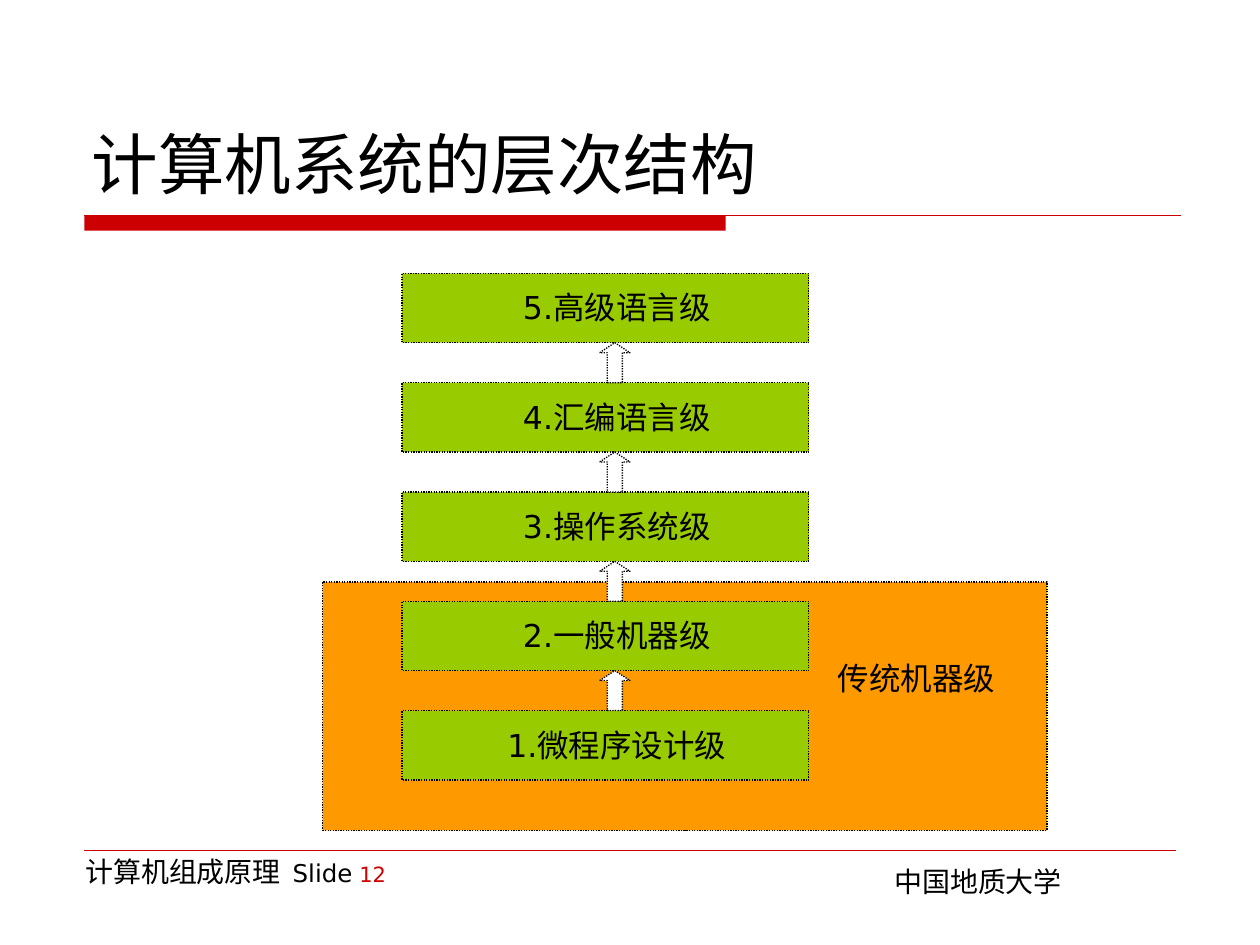
from pptx import Presentation
from pptx.dml.color import RGBColor
from pptx.enum.dml import MSO_LINE
from pptx.enum.shapes import MSO_CONNECTOR, MSO_SHAPE
from pptx.enum.text import MSO_ANCHOR, PP_ALIGN
from pptx.oxml.ns import qn
from pptx.util import Inches, Pt
from lxml import etree

RED = RGBColor(0xCC, 0x00, 0x00)
ORANGE = RGBColor(0xFF, 0x99, 0x00)
GREEN = RGBColor(0x99, 0xCC, 0x00)
WHITE = RGBColor(0xFF, 0xFF, 0xFF)
BLACK = RGBColor(0x00, 0x00, 0x00)

FONT = "DejaVu Sans"
RECT, UP_ARROW = MSO_SHAPE.RECTANGLE, MSO_SHAPE.UP_ARROW
STRAIGHT, DOTTED = MSO_CONNECTOR.STRAIGHT, MSO_LINE.ROUND_DOT
LEFT, CENTER = PP_ALIGN.LEFT, PP_ALIGN.CENTER
TOP, BOTTOM = MSO_ANCHOR.TOP, MSO_ANCHOR.BOTTOM

LEVELS = ["5.高级语言级", "4.汇编语言级", "3.操作系统级", "2.一般机器级", "1.微程序设计级"]
LEVEL_H = 0.55
LEVEL_PITCH = 0.8675


def add_box(shapes, kind, x, y, w, h, fill, outline=None):
    """Add a filled shape, with a dotted outline if a colour is given."""
    sp = shapes.add_shape(kind, Inches(x), Inches(y), Inches(w), Inches(h))
    sp.shadow.inherit = False
    sp.fill.solid()
    sp.fill.fore_color.rgb = fill
    if outline is None:
        sp.line.fill.background()
    else:
        sp.line.color.rgb = outline
        sp.line.width = Pt(0.75)
        sp.line.dash_style = DOTTED
    return sp


def add_rule(s, x1, x2, y, width):
    line = s.shapes.add_connector(STRAIGHT, Inches(x1), Inches(y), Inches(x2), Inches(y))
    line.line.color.rgb = RED
    line.line.width = Pt(width)
    etree.SubElement(line._element.spPr, qn("a:effectLst"))


def write(sp, runs, align=LEFT, anchor=TOP):
    """Fill a shape with one paragraph of (text, size, colour) runs."""
    tf = sp.text_frame
    tf.word_wrap = True
    tf.vertical_anchor = anchor
    p = tf.paragraphs[0]
    p.alignment = align
    for text, size, color in runs:
        r = p.add_run()
        r.text = text
        for name, value in {"name": FONT, "size": Pt(size)}.items():
            setattr(r.font, name, value)
        r.font.color.rgb = color


def add_text(s, x, y, w, h, runs, align=LEFT, anchor=TOP):
    sp = s.shapes.add_textbox(Inches(x), Inches(y), Inches(w), Inches(h))
    write(sp, runs, align, anchor)


def add_header(s, x, y, w, h):
    add_text(s, x, y, w, h, [("计算机系统的层次结构", 38, BLACK)], anchor=BOTTOM)
    rule_x, rule_y = x + 0.04, y + h + 0.05
    add_box(s.shapes, RECT, rule_x, rule_y, 5.09, 0.12, RED)
    add_rule(s, rule_x, rule_x + 8.7, rule_y, 0.75)


def add_footer(s, x, y, w):
    add_rule(s, x, x + w, y, 0.25)
    add_text(s, x - 0.09, y - 0.02, 3, 0.52, [
        ("计算机组成原理 ", 16, BLACK),
        (" Slide", 14, BLACK),
        (" ", 12, BLACK),
        ("12", 12, RED),
    ])
    add_text(s, 7, y + 0.06, 3, 0.52, [("中国地质大学", 16, BLACK)])


def add_machine_panel(s, x, y, w, h):
    add_box(s.shapes, RECT, x, y, w, h, ORANGE, BLACK)
    add_text(s, x + 3.93, y + 0.56, 1.57, 0.4, [("传统机器级", 18, BLACK)], CENTER)


def add_level(s, x, y, w, text):
    group = s.shapes.add_group_shape()
    add_box(group.shapes, RECT, x, y, w, LEVEL_H, GREEN, BLACK)
    label = add_box(group.shapes, RECT, x + 0.68, y + 0.07, 2.05, 0.4, GREEN)
    write(label, [(text, 18, BLACK)], CENTER)


def add_level_stack(s, x, y, w):
    """Stack the levels downwards, with an up arrow in each gap."""
    for i, text in enumerate(LEVELS):
        add_level(s, x, y + i * LEVEL_PITCH, w, text)
    for i in range(1, len(LEVELS)):
        gap = LEVEL_PITCH - LEVEL_H
        arrow = add_box(s.shapes, UP_ARROW, x + 1.57, y + i * LEVEL_PITCH - gap,
                        0.24, gap, WHITE, BLACK)
        arrow.adjustments[0] = 0.5
        arrow.adjustments[1] = 0.33


def main():
    prs = Presentation()
    prs.slide_width, prs.slide_height = Inches(10), Inches(7.5)
    s = prs.slides.add_slide(prs.slide_layouts[6])
    add_header(s, 0.63, 0.33, 8.75, 1.33)
    add_footer(s, 0.67, 6.75, 8.66)
    add_machine_panel(s, 2.56, 4.62, 5.75, 1.97)
    add_level_stack(s, 3.19, 2.17, 3.23)
    prs.save("out.pptx")


if __name__ == "__main__":
    main()
